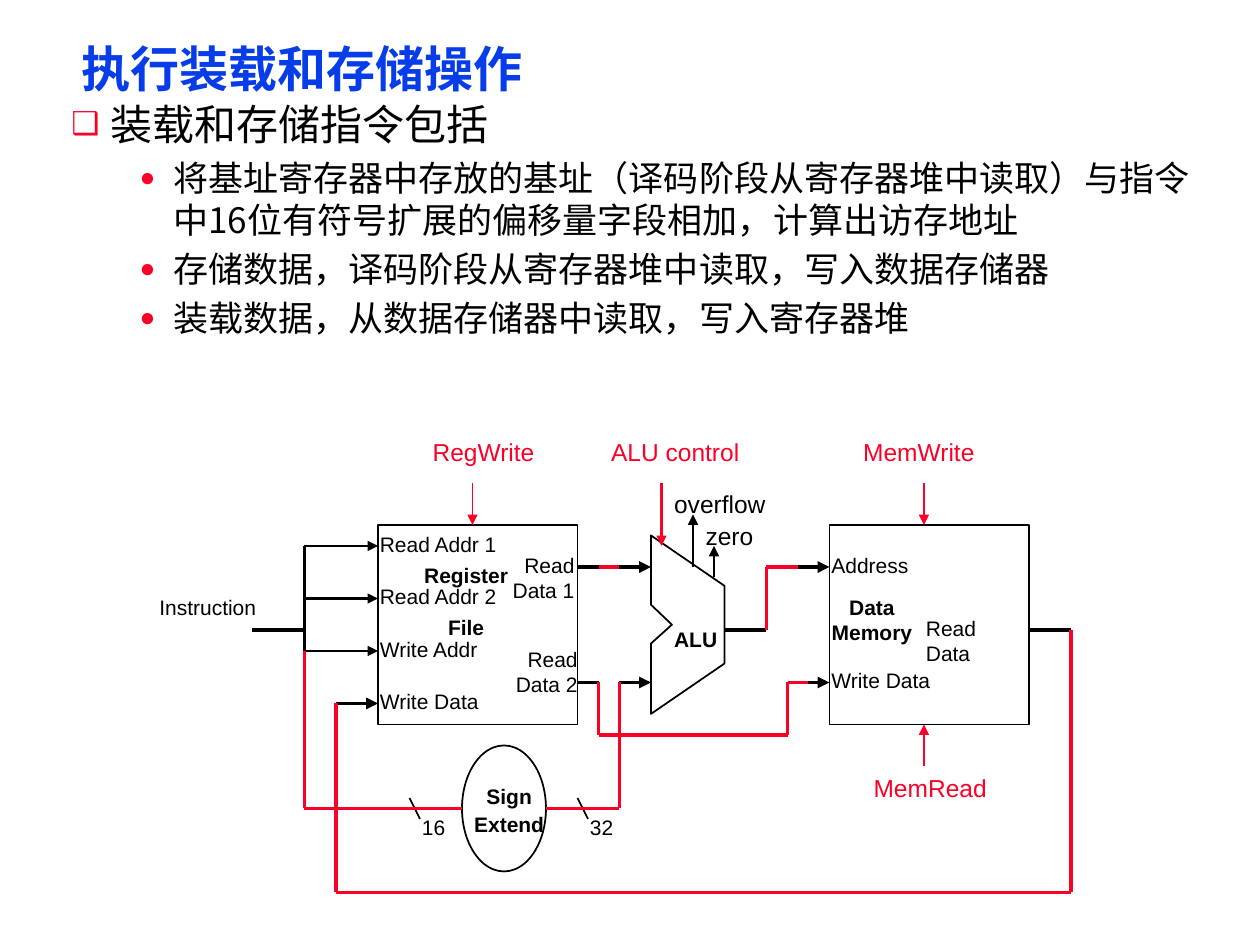
from lxml import etree
from pptx import Presentation
from pptx.dml.color import RGBColor
from pptx.enum.shapes import MSO_CONNECTOR, MSO_SHAPE
from pptx.enum.text import MSO_AUTO_SIZE as FIT, PP_ALIGN as AL
from pptx.oxml.ns import qn
from pptx.util import Pt

PX = 7620  # EMU per px, 120 px to the inch
C = {"title": "063DE8", "red": "FC0128", "black": "000000"}
LATIN, CJK = "Arial", "Noto Sans CJK SC"

prs = Presentation()
prs.slide_width, prs.slide_height = 1200 * PX, 900 * PX
s = prs.slides.add_slide(prs.slide_layouts[6])


def add_text(x, y, w, h, lines, size=12, color="black", bold=False, align=AL.LEFT,
             inset=(12, 6), fit=FIT.SHAPE_TO_FIT_TEXT, wrap=False, font=LATIN):
    """Add a text box with one paragraph per line and return its paragraphs."""
    tf = s.shapes.add_textbox(x * PX, y * PX, w * PX, h * PX).text_frame
    tf.word_wrap, tf.auto_size = wrap, fit
    tf.margin_left = tf.margin_right = inset[0] * PX
    tf.margin_top = tf.margin_bottom = inset[1] * PX
    tf.text = "\n".join(lines)
    for p in tf.paragraphs:
        p.alignment = align
        f = p.runs[0].font
        f.size, f.bold, f.name = Pt(size), bold, font
        f.color.rgb = RGBColor.from_string(C[color])
        etree.SubElement(p.runs[0]._r.rPr, qn("a:ea"), typeface=CJK)
    return tf.paragraphs


def add_path(color, width, points, arrow=False):
    """Join the points with straight lines; an arrow goes on the last one."""
    for (x1, y1), (x2, y2) in zip(points, points[1:]):
        ln = s.shapes.add_connector(MSO_CONNECTOR.STRAIGHT, x1 * PX, y1 * PX, x2 * PX, y2 * PX)
        ln.line.width = Pt(width)
        ln.line.color.rgb = RGBColor.from_string(C[color])
        etree.SubElement(ln._element.spPr, qn("a:effectLst"))
    if arrow:
        etree.SubElement(ln.line._get_or_add_ln(), qn("a:tailEnd"), type="triangle")


# Title and bullets
title = add_text(70, 40, 1070, 55, ["执行装载和存储操作"], 28, "title", True,
                 inset=(8, 4), wrap=True)
title[0].line_spacing = 0.87

body = add_text(60, 90, 1090, 241, [
    "装载和存储指令包括",
    "将基址寄存器中存放的基址（译码阶段从寄存器堆中读取）与指令中16位有符号扩展的偏移量字段相加，计算出访存地址",
    "存储数据，译码阶段从寄存器堆中读取，写入数据存储器",
    "装载数据，从数据存储器中读取，写入寄存器堆",
], 20, inset=(8, 4), wrap=True, font=CJK)
body[0].runs[0].font.size = Pt(24)
for i, p in enumerate(body):
    left, hang, mark = (97, 32, "●") if i else (37, 37, "❑")
    p.space_before = Pt(4 if i else 5)
    pPr = p._p.get_or_add_pPr()
    pPr.set("marL", str(left * PX))
    pPr.set("indent", str(-hang * PX))
    clr = etree.SubElement(pPr, qn("a:buClr"))
    etree.SubElement(clr, qn("a:srgbClr"), val=C["red"])
    etree.SubElement(pPr, qn("a:buSzPct"), val="75000")
    etree.SubElement(pPr, qn("a:buFont"), typeface=LATIN)
    etree.SubElement(pPr, qn("a:buChar"), char=mark)

# Datapath units
register_file = s.shapes.add_shape(MSO_SHAPE.RECTANGLE, 360 * PX, 500 * PX, 190 * PX, 190 * PX)
data_memory = s.shapes.add_shape(MSO_SHAPE.RECTANGLE, 790 * PX, 500 * PX, 190 * PX, 190 * PX)
sign_extend = s.shapes.add_shape(MSO_SHAPE.OVAL, 440 * PX, 710 * PX, 80 * PX, 120 * PX)
fb = s.shapes.build_freeform(620, 510, scale=PX)
fb.add_line_segments([(620, 576), (640, 595), (620, 613), (620, 680), (690, 632), (690, 558)])
alu = fb.convert_to_shape()
for sp in (register_file, data_memory, sign_extend, alu):
    sp.shadow.inherit = False
    sp.fill.background()
    sp.line.width = Pt(1)
    sp.line.color.rgb = RGBColor.from_string(C["black"])

# Instruction bus and register addresses
add_path("black", 2.25, [(240, 600), (290, 600)])
add_path("black", 2.25, [(290, 520), (290, 620)])
for y in (520, 570, 620):
    add_path("black", 1.5, [(290, y), (360, y)], arrow=True)

# Unit inputs and outputs
for x1, x2, y in ((980, 1020, 600), (690, 730, 600), (550, 570, 650), (550, 570, 540),
                  (400, 440, 770), (520, 560, 770)):
    add_path("black", 2.25, [(x1, y), (x2, y)])
for x1, x2, y in ((320, 360, 670), (590, 620, 540), (590, 620, 650),
                  (760, 790, 540), (760, 790, 650)):
    add_path("black", 2.25, [(x1, y), (x2, y)], arrow=True)
for x, y1, y2 in ((660, 540, 490), (680, 550, 520)):
    add_path("black", 1, [(x, y1), (x, y2)], arrow=True)
for x in (390, 550):
    add_path("black", 1, [(x, 760), (x + 10, 780)])

# Control signals
for x, y1, y2, width in ((630, 460, 520, 1.5), (450, 460, 500, 1),
                         (880, 460, 500, 1), (880, 730, 690, 1)):
    add_path("red", width, [(x, y1), (x, y2)], arrow=True)

# Load and store paths
for points in (
    [(570, 540), (590, 540)],
    [(730, 600), (730, 540), (760, 540)],
    [(570, 650), (570, 700), (750, 700), (750, 650), (770, 650)],
    [(320, 670), (320, 850), (1020, 850), (1020, 600)],
    [(290, 620), (290, 770), (440, 770)],
    [(520, 770), (590, 770), (590, 650)],
):
    add_path("red", 2.25, points)

# Port labels
for x, y, w, label in (
    (140, 560, 116, "Instruction"),
    (350, 500, 136, "Read Addr 1"), (350, 550, 136, "Read Addr 2"),
    (350, 600, 119, "Write Addr"), (350, 650, 119, "Write Data"),
    (780, 520, 97, "Address"), (780, 630, 119, "Write Data"), (870, 580, 119, "Read Data"),
    (390, 770, 47, "16"), (550, 770, 47, "32"),
):
    add_text(x, y, w, 36, [label])
add_text(476, 520, 83, 60, ["Read", "Data 1"], align=AL.RIGHT)
add_text(479, 610, 83, 60, ["Read", "Data 2"], align=AL.RIGHT)

# Unit names
name = add_text(392, 530, 104, 84, ["Register", "File"], bold=True, align=AL.CENTER)
name[1].space_before = Pt(15)
add_text(780, 560, 101, 60, ["Data", "Memory"], bold=True, align=AL.CENTER)
for x, y, w, h, lines, align in ((640, 590, 66, 43, ["ALU"], AL.LEFT),
                                 (450, 740, 70, 60, ["Sign", "Extend"], AL.CENTER)):
    for p in add_text(x, y, w, h, lines, bold=True, align=align, inset=(2, 4), fit=FIT.NONE):
        p.line_spacing = Pt(16)

# Signal names
for x, y, w, label, color in (
    (640, 460, 140, "overflow", "black"), (670, 490, 70, "zero", "black"),
    (580, 410, 121, "ALU control", "red"), (410, 410, 121, "RegWrite", "red"),
    (820, 410, 121, "MemWrite", "red"), (830, 730, 121, "MemRead", "red"),
):
    p = add_text(x, y, w, 40, [label], 14, color, inset=(2, 4), fit=FIT.NONE)[0]
    p.line_spacing = Pt(18)
    p.space_before = p.space_after = Pt(6)

prs.save("out.pptx")
